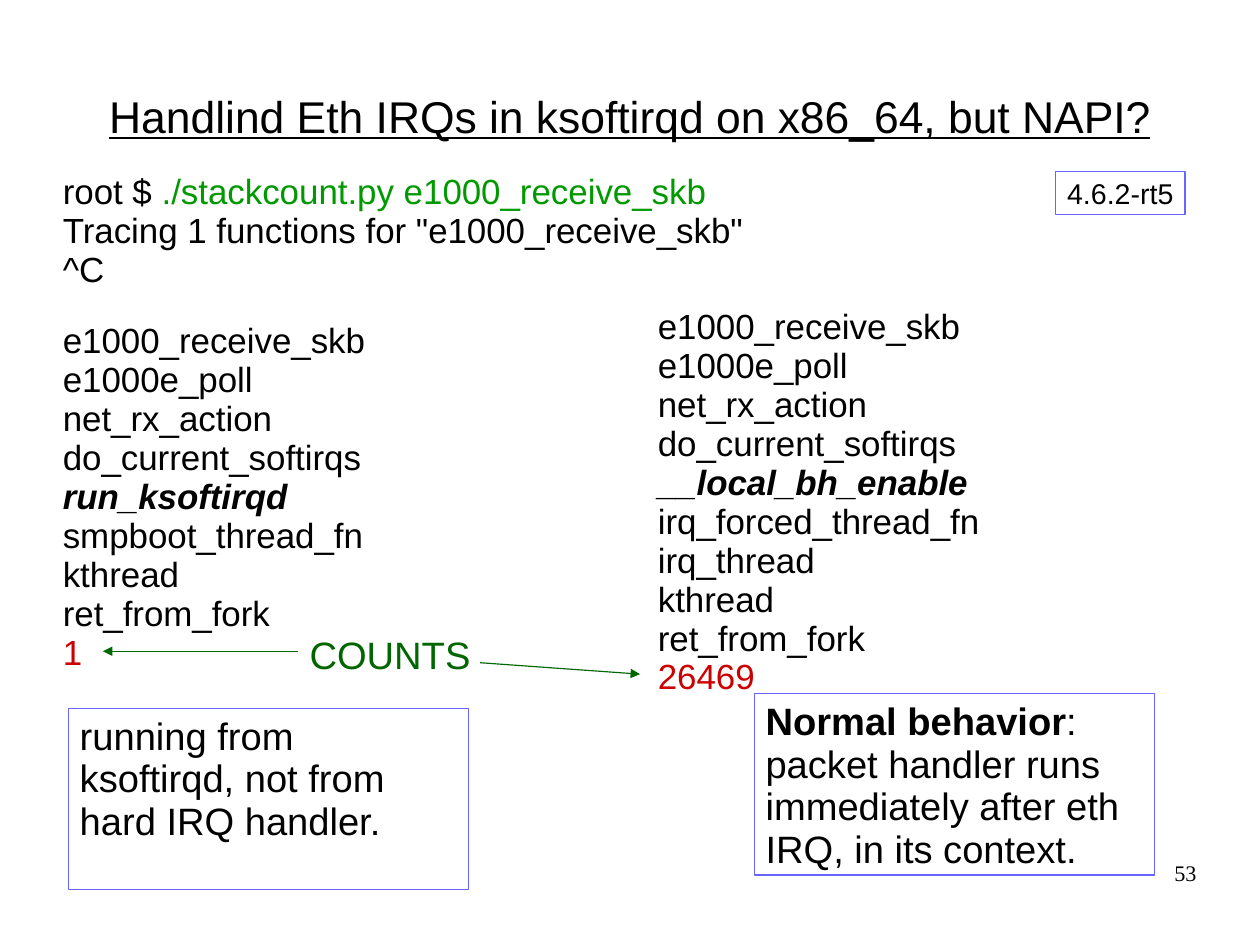
from dataclasses import dataclass

from lxml.etree import SubElement
from pptx import Presentation
from pptx.dml.color import RGBColor
from pptx.enum.shapes import MSO_CONNECTOR, MSO_SHAPE
from pptx.enum.text import MSO_ANCHOR, MSO_AUTO_SIZE, PP_ALIGN
from pptx.oxml.ns import qn
from pptx.slide import Slide
from pptx.text.text import TextFrame
from pptx.util import Cm, Inches, Length, Pt


@dataclass(frozen=True)
class Theme:
    sans: str = "Arial"
    serif: str = "Times New Roman"
    ink: str = "000000"
    command: str = "009900"
    count: str = "CC0000"
    arrow: str = "006600"
    border: str = "6666FF"
    title: int = 28
    note: int = 24
    trace: int = 22
    version: int = 18
    number: int = 14
    line_width: float = 0.75
    spacing: float = 0.93


T = Theme()
WIDTH, HEIGHT = 28, 21  # centimetres


@dataclass(frozen=True)
class Box:
    """Left, top, width and height in percent of the slide."""
    x: float
    y: float
    w: float
    h: float


@dataclass(frozen=True)
class Run:
    text: str
    color: str = T.ink
    bold: bool = False
    italic: bool = False
    underline: bool = False


@dataclass(frozen=True)
class Para:
    runs: tuple[Run, ...]
    before: float = 0


@dataclass(frozen=True)
class Block:
    box: Box
    paras: list[Para]
    size: int
    insets: tuple[float, float, float, float] = (0.1, 0.07, 0.1, 0.05)
    font: str = T.sans
    align: PP_ALIGN = PP_ALIGN.LEFT
    anchor: MSO_ANCHOR = MSO_ANCHOR.TOP
    framed: bool = False
    wrap: bool = True


@dataclass(frozen=True)
class Arrow:
    x1: float
    y1: float
    x2: float
    y2: float


def across(share: float) -> Length:
    return Cm(WIDTH * share / 100)


def down(share: float) -> Length:
    return Cm(HEIGHT * share / 100)


def line(*runs: Run, before: float = 0) -> Para:
    return Para(runs, before)


def stack(calls: str, key_call: str, count: str, before: float = 0) -> list[Para]:
    """One stack trace, its key call emphasised and its count last."""
    paras = []
    for i, call in enumerate(calls.split()):
        key = call == key_call
        paras.append(line(Run(call, bold=key, italic=key), before=0 if i else before))
    return paras + [line(Run(count, T.count))]


def write(tf: TextFrame, block: Block) -> None:
    tf.auto_size = MSO_AUTO_SIZE.NONE
    tf.word_wrap = block.wrap
    tf.vertical_anchor = block.anchor
    tf.margin_left, tf.margin_top, tf.margin_right, tf.margin_bottom = map(Inches, block.insets)
    for i, para in enumerate(block.paras):
        p = tf.add_paragraph() if i else tf.paragraphs[0]
        p.alignment = block.align
        p.line_spacing = T.spacing
        p.space_before = Pt(para.before)
        for run in para.runs:
            r = p.add_run()
            r.text = run.text
            f = r.font
            f.name, f.size = block.font, Pt(block.size)
            f.bold, f.italic, f.underline = run.bold, run.italic, run.underline
            f.color.rgb = RGBColor.from_string(run.color)


def add_title(s: Slide, block: Block) -> None:
    sp, b = s.shapes.title, block.box
    sp.left, sp.top, sp.width, sp.height = across(b.x), down(b.y), across(b.w), down(b.h)
    write(sp.text_frame, block)


def add_block(s: Slide, block: Block) -> None:
    b = block.box
    place = across(b.x), down(b.y), across(b.w), down(b.h)
    if block.framed:
        sp = s.shapes.add_shape(MSO_SHAPE.RECTANGLE, *place)
        sp.shadow.inherit = False
        sp.fill.background()
        sp.line.color.rgb = RGBColor.from_string(T.border)
        sp.line.width = Pt(T.line_width)
    else:
        sp = s.shapes.add_textbox(*place)
    write(sp.text_frame, block)


def add_arrow(s: Slide, arrow: Arrow) -> None:
    cx = s.shapes.add_connector(MSO_CONNECTOR.STRAIGHT, across(arrow.x1), down(arrow.y1),
                                across(arrow.x2), down(arrow.y2))
    cx.line.color.rgb = RGBColor.from_string(T.arrow)
    cx.line.width = Pt(T.line_width)
    ln = cx._element.spPr.find(qn("a:ln"))
    SubElement(ln, qn("a:tailEnd"), type="triangle")
    SubElement(cx._element.spPr, qn("a:effectLst"))


TITLE = Block(
    Box(4.99, 4, 89.98, 16.69),
    [line(Run("Handlind Eth IRQs in ksoftirqd on x86_64, but NAPI?", underline=True))],
    T.title, (0, 0.03, 0, 0), align=PP_ALIGN.CENTER, anchor=MSO_ANCHOR.MIDDLE)

# Command with the stack through ksoftirqd
COMMAND = [
    line(Run("root $ "), Run("./stackcount.py e1000_receive_skb", T.command)),
    line(Run('Tracing 1 functions for "e1000_receive_skb"')),
    line(Run("^C")),
]
KSOFTIRQD = stack(
    "e1000_receive_skb e1000e_poll net_rx_action do_current_softirqs "
    "run_ksoftirqd smpboot_thread_fn kthread ret_from_fork",
    "run_ksoftirqd", "1", before=20)

# Stack through the threaded IRQ handler
IRQ_THREAD = stack(
    "e1000_receive_skb e1000e_poll net_rx_action do_current_softirqs "
    "__local_bh_enable irq_forced_thread_fn irq_thread kthread ret_from_fork",
    "__local_bh_enable", "26469")

BLOCKS = [
    Block(Box(4.99, 18.14, 54.9, 54.41), COMMAND + KSOFTIRQD, T.trace, (0, 0.02, 0, 0)),
    Block(Box(51.32, 31.75, 40.83, 46.5), IRQ_THREAD, T.trace),
    # Framed notes
    Block(Box(5.44, 74.95, 31.75, 19.2),
          [line(Run("running from ksoftirqd, not from hard IRQ handler."))],
          T.note, framed=True),
    Block(Box(59.87, 73.4, 31.75, 19.2),
          [line(Run("Normal behavior", bold=True),
                Run(": packet handler runs immediately after eth IRQ, in its context."))],
          T.note, framed=True),
    # Labels
    Block(Box(23.68, 66.35, 19.05, 5.68), [line(Run("COUNTS", T.arrow))], T.note),
    Block(Box(83.8, 18.14, 10.25, 4.59), [line(Run("4.6.2-rt5"))],
          T.version, framed=True, wrap=False),
    Block(Box(71.66, 91.2, 23.31, 6.89), [line(Run("53"))],
          T.number, (0, 0, 0, 0), T.serif, PP_ALIGN.RIGHT),
]
ARROWS = [Arrow(23.68, 68.92, 8.17, 68.92), Arrow(38.1, 70.13, 50.8, 71.34)]


def main() -> None:
    prs = Presentation()
    prs.slide_width, prs.slide_height = Cm(WIDTH), Cm(HEIGHT)
    s = prs.slides.add_slide(prs.slide_layouts[5])
    add_title(s, TITLE)
    for block in BLOCKS:
        add_block(s, block)
    for arrow in ARROWS:
        add_arrow(s, arrow)
    prs.save("out.pptx")


if __name__ == "__main__":
    main()
